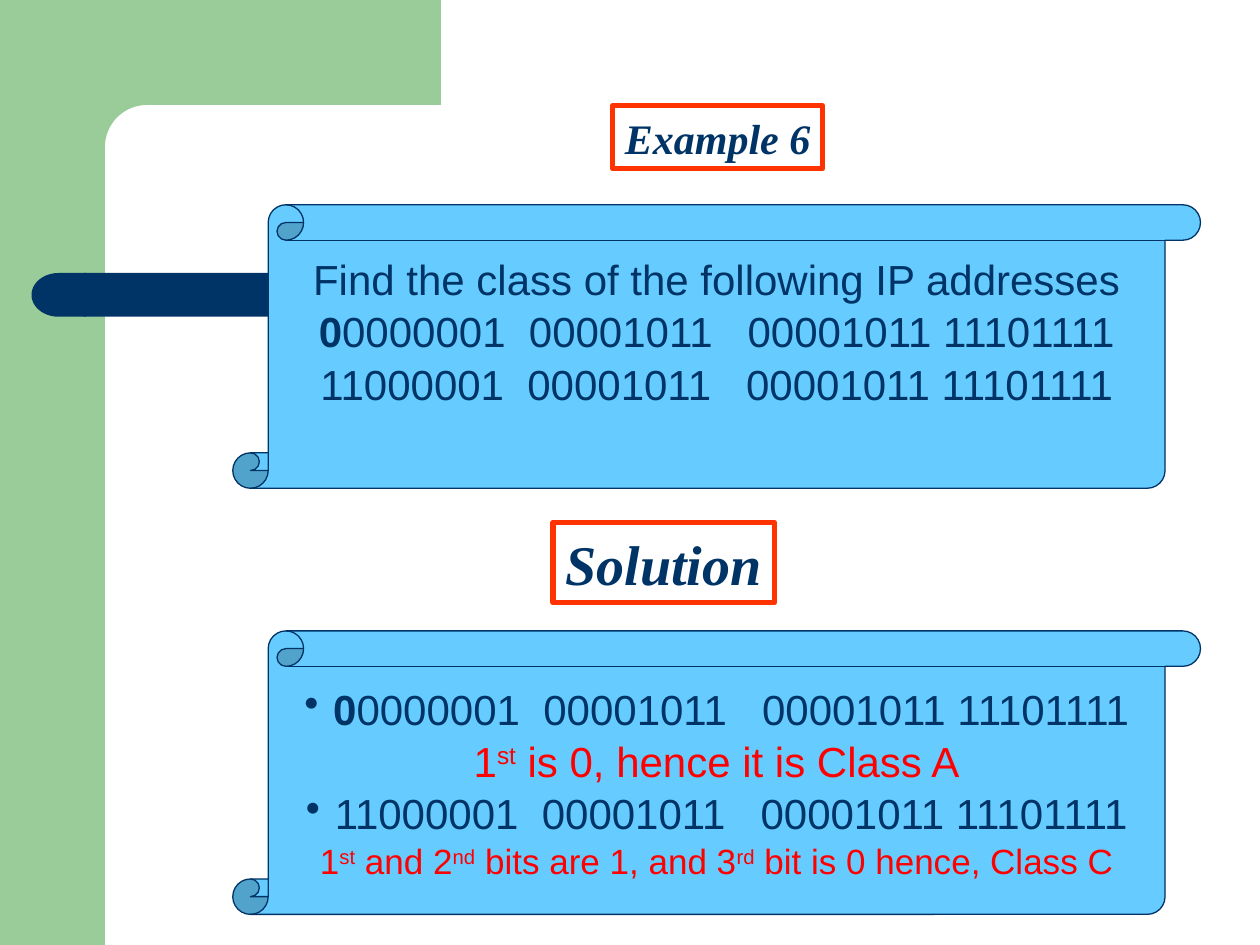
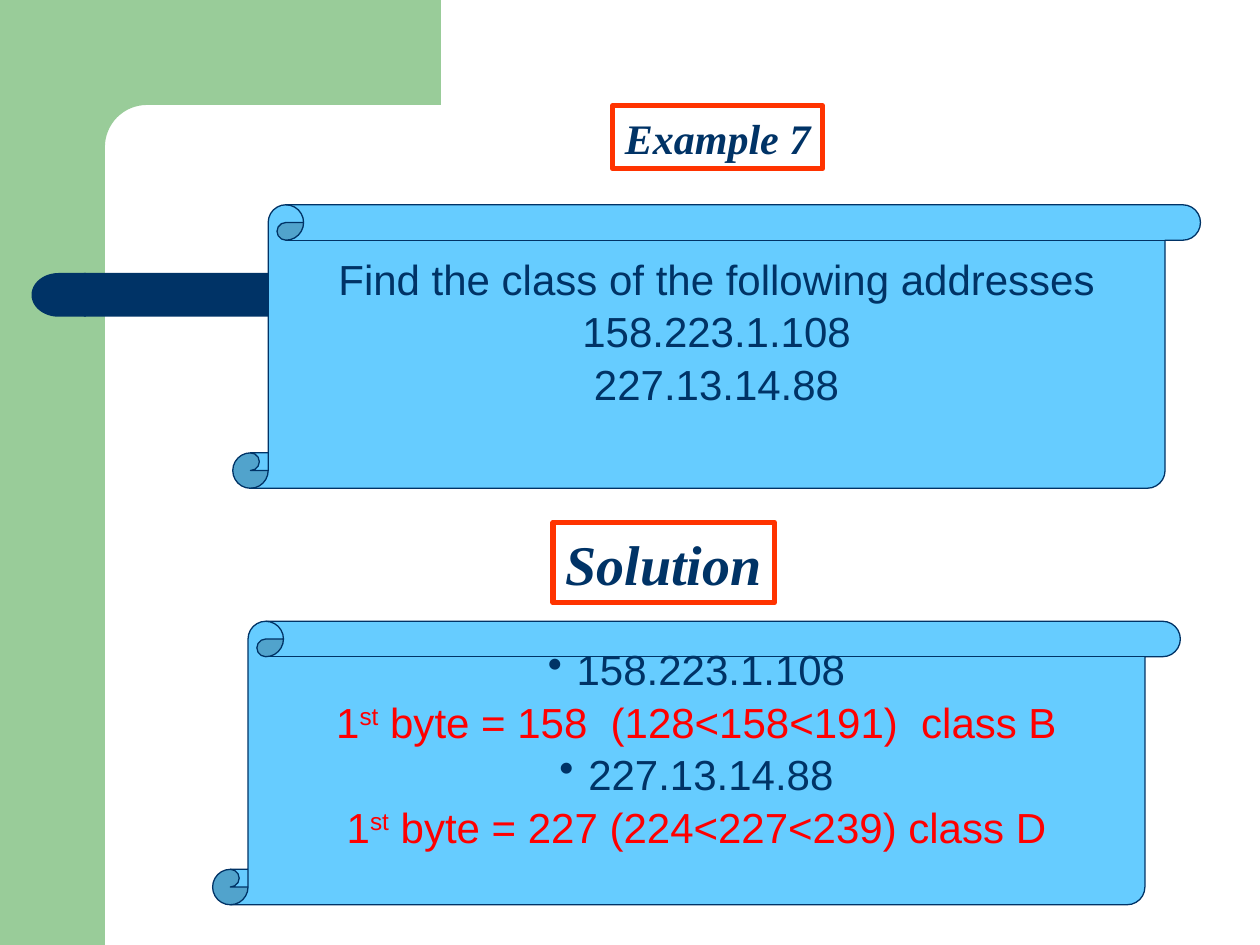
from math import cos, pi, sin

from lxml import etree
from pptx import Presentation
from pptx.dml.color import RGBColor
from pptx.enum.shapes import MSO_SHAPE
from pptx.enum.text import MSO_ANCHOR, PP_ALIGN
from pptx.oxml.ns import qn
from pptx.util import Pt

RECT = MSO_SHAPE.RECTANGLE
DELAY = MSO_SHAPE.FLOWCHART_DELAY
SCROLL = MSO_SHAPE.VERTICAL_SCROLL
MIDDLE = MSO_ANCHOR.MIDDLE
LEFT, CENTER = PP_ALIGN.LEFT, PP_ALIGN.CENTER

COLORS = {
    "paper": "FFFFFF",
    "green": "99CC99",
    "navy": "003366",
    "frame": "FF3300",
    "sky": "66CCFF",
    "answer": "FF0000",
}
SANS, SERIF = "Arial", "Times New Roman"
HANG = 16.5
LEADING = 1.04
ROW = 28.8  # height of one 24 pt line


def color(name):
    return RGBColor.from_string(COLORS[name])


def paint(shape, fill, line=None, width=0):
    shape.shadow.inherit = False
    shape.fill.solid()
    shape.fill.fore_color.rgb = color(fill)
    if line:
        shape.line.color.rgb = color(line)
        shape.line.width = Pt(width)
    else:
        shape.line.fill.background()


def add_box(slide, kind, box, fill, line=None, width=0):
    shape = slide.shapes.add_shape(kind, *(Pt(v) for v in box))
    paint(shape, fill, line, width)
    return shape


def set_font(font, name, size, ink):
    font.name = name
    font.size = Pt(size)
    font.color.rgb = color(ink)


def add_bullet(para):
    props = para._p.get_or_add_pPr()
    props.set("marL", str(Pt(HANG)))
    props.set("indent", str(-Pt(HANG)))
    tint = etree.SubElement(props, qn("a:buClr"))
    etree.SubElement(tint, qn("a:srgbClr")).set("val", COLORS["navy"])
    etree.SubElement(props, qn("a:buChar")).set("char", "•")


def add_runs(para, text):
    """Split text at "|"; a piece led by "^" is raised, one led by "*" is bold."""
    for piece in text.split("|"):
        run = para.add_run()
        run.text = piece.lstrip("^*")
        if piece.startswith("^"):
            run._r.get_or_add_rPr().set("baseline", "30000")
        elif piece.startswith("*"):
            run.font.bold = True


def add_corner(slide):
    """Draw the top band, whose inner corner is a quarter circle."""
    mid, radius, steps = 84, 24, 16
    turns = [pi / 2 * (1 + i / steps) for i in range(steps + 1)]
    arc = [(mid + radius * cos(t), mid - radius * sin(t)) for t in turns]
    points = [(252, 60), *arc, (60, 92), (36, 92), (36, 0)]
    pen = slide.shapes.build_freeform(Pt(252), 0)
    pen.add_line_segments([(Pt(x), Pt(y)) for x, y in points], close=True)
    paint(pen.convert_to_shape(), "green")


def add_frame(slide):
    add_box(slide, RECT, (0, 0, 60, 540), "green")
    add_corner(slide)
    add_box(slide, RECT, (48, 156, 552, 25), "navy")
    add_box(slide, DELAY, (18, 156, 31, 25), "navy").rotation = 180


def add_label(slide, text, box, size):
    frame = add_box(slide, RECT, box, "paper", "frame", 3).text_frame
    frame.word_wrap = False
    para = frame.paragraphs[0]
    para.alignment = LEFT
    para.text = text
    set_font(para.font, SERIF, size, "navy")
    para.font.bold = para.font.italic = True


def add_scroll(slide, left, top, lines, spare=0):
    """Lines are (text, ink, size, bullet); spare is room kept below the text."""
    shape = add_box(slide, SCROLL, (left, top, 553, 162), "sky", "navy", 0.75)
    frame = shape.text_frame
    frame.word_wrap = False
    frame.vertical_anchor = MIDDLE
    frame.margin_bottom = Pt(3.6 + spare)
    for i, (text, ink, size, bullet) in enumerate(lines):
        para = frame.add_paragraph() if i else frame.paragraphs[0]
        para.alignment = CENTER
        para.line_spacing = LEADING
        if bullet:
            add_bullet(para)
        add_runs(para, text)
        set_font(para.font, SANS, size, ink)


def ask(*texts):
    return [(text, "navy", 24, False) for text in texts]


def solve(*pairs):
    """Turn (address, reason, size) into a bulleted line and its red answer."""
    lines = []
    for address, reason, size in pairs:
        lines.append((address, "navy", 24, True))
        lines.append((reason, "answer", size, False))
    return lines


def add_example(deck, title, task, answer, place, spare=0):
    slide = deck.slides.add_slide(deck.slide_layouts[6])
    add_frame(slide)
    add_label(slide, title, (350, 60.5, 120, 36), 24)
    add_label(slide, "Solution", (316, 298.5, 126.5, 46), 32)
    add_scroll(slide, 133, 117, task, ROW)
    add_scroll(slide, *place, answer, spare)


def main():
    deck = Presentation()
    deck.slide_width, deck.slide_height = Pt(720), Pt(540)

    first = "*0|0000001  00001011   00001011 11101111"
    second = "11000001  00001011   00001011 11101111"
    add_example(
        deck,
        "Example 6",
        ask("Find the class of the following IP addresses", first, second),
        solve(
            (first, "1|^st| is 0, hence it is Class A", 24),
            (second, "1|^st| and 2|^nd| bits are 1, and 3|^rd"
             "| bit is 0 hence, Class C", 20),
        ),
        (133, 360.5),
    )

    first, second = "158.223.1.108", "227.13.14.88"
    add_example(
        deck,
        "Example 7",
        ask("Find the class of the following addresses", first, second),
        solve(
            (first, "1|^st| byte = 158  (128<158<191)  class B", 24),
            (second, "1|^st| byte = 227 (224<227<239) class D", 24),
        ),
        (121.5, 355),
        ROW,
    )
    deck.save("out.pptx")


if __name__ == "__main__":
    main()
